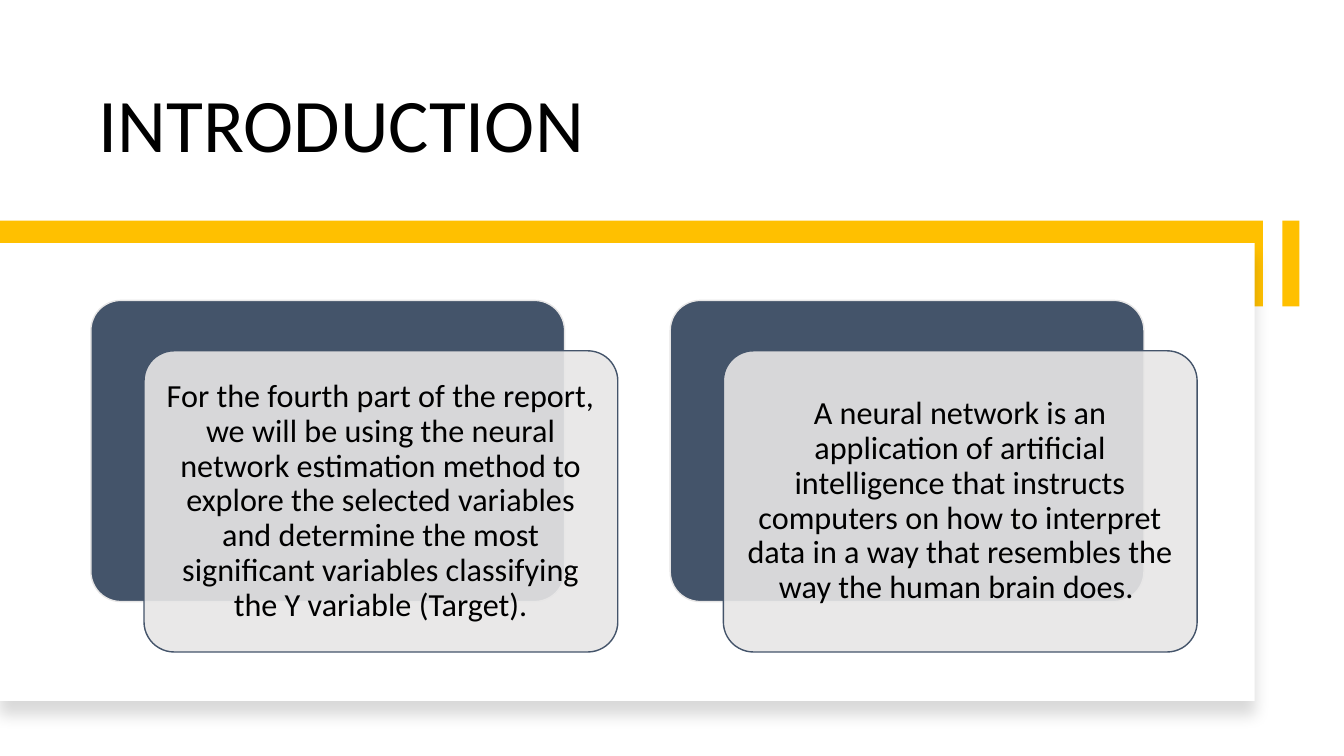
from lxml.etree import SubElement
from pptx import Presentation
from pptx.dml.color import RGBColor
from pptx.enum.shapes import MSO_SHAPE
from pptx.enum.text import MSO_ANCHOR, PP_ALIGN
from pptx.oxml.ns import qn
from pptx.util import Cm, Pt

GOLD, SLATE, SILVER, WHITE, BLACK = "FFC000", "44546A", "E7E6E6", "FFFFFF", "000000"
CARD_TEXTS = [
    "For the fourth part of the report, we will be using the neural network "
    "estimation method to explore the selected variables and determine the most "
    "significant variables classifying the Y variable (Target).",
    "A neural network is an application of artificial intelligence that instructs "
    "computers on how to interpret data in a way that resembles the way the human "
    "brain does. ",
]
CARD_LEFT, CARD_TOP, CARD_WIDTH, CARD_HEIGHT = 2.29, 7.57, 11.94, 7.59
CARD_PITCH = 14.6
FRONT_SHIFT_X, FRONT_SHIFT_Y = 1.34, 1.27


def color(hex_code):
    return RGBColor.from_string(hex_code)


class SlideBuilder:
    """Draws elements on one page; all lengths are in centimetres."""

    font_name = "Calibri"

    def __init__(self, page):
        self.page = page

    def set_text(self, shape, text, size, anchor, alignment):
        frame = shape.text_frame
        frame.word_wrap = True
        frame.vertical_anchor = anchor
        frame.text = text
        para = frame.paragraphs[0]
        para.alignment = alignment
        para.line_spacing = 0.9
        for span in para.runs:
            span.font.name = self.font_name
            span.font.size = Pt(size)
            span.font.color.rgb = color(BLACK)

    def title(self, text, left, top, width, height):
        box = self.page.shapes.add_textbox(Cm(left), Cm(top), Cm(width), Cm(height))
        self.set_text(box, text, 54, MSO_ANCHOR.BOTTOM, PP_ALIGN.LEFT)

    def shape(self, kind, left, top, width, height, fill, line=None):
        shape = self.page.shapes.add_shape(kind, Cm(left), Cm(top), Cm(width), Cm(height))
        shape.shadow.inherit = False
        shape.fill.solid()
        shape.fill.fore_color.rgb = color(fill)
        if line:
            shape.line.color.rgb = color(line)
            shape.line.width = Pt(1)
        else:
            shape.line.fill.background()
        return shape

    def bar(self, left, top, width, height, fill):
        return self.shape(MSO_SHAPE.RECTANGLE, left, top, width, height, fill)

    def panel(self, left, top, width, height):
        """Add a white rectangle with a soft shadow below it."""
        panel = self.bar(left, top, width, height, WHITE)
        effects = panel.element.spPr.find(qn("a:effectLst"))
        shadow = SubElement(effects, qn("a:outerShdw"), blurRad=str(Pt(11)),
                            dist=str(Pt(10)), dir="5400000", algn="t", rotWithShape="0")
        tint = SubElement(shadow, qn("a:srgbClr"), val=BLACK)
        SubElement(tint, qn("a:alpha"), val="15000")

    def rounded(self, left, top, fill, line):
        card = self.shape(MSO_SHAPE.ROUNDED_RECTANGLE, left, top,
                          CARD_WIDTH, CARD_HEIGHT, fill, line)
        card.adjustments[0] = 0.1
        return card

    def card(self, left, top, text):
        """Add a dark card with a translucent text card shifted over it."""
        self.rounded(left, top, SLATE, SILVER)
        front = self.rounded(left + FRONT_SHIFT_X, top + FRONT_SHIFT_Y, SILVER, SLATE)
        tint = front.element.spPr.find(qn("a:solidFill")).find(qn("a:srgbClr"))
        SubElement(tint, qn("a:alpha"), val="90000")
        frame = front.text_frame
        frame.margin_left = frame.margin_right = Cm(0.24)
        frame.margin_top = frame.margin_bottom = Cm(0.24)
        self.set_text(front, text, 23, MSO_ANCHOR.MIDDLE, PP_ALIGN.CENTER)


def main():
    deck = Presentation()
    deck.slide_width, deck.slide_height = Cm(33.87), Cm(19.05)
    builder = SlideBuilder(deck.slides.add_slide(deck.slide_layouts[6]))

    builder.title("INTRODUCTION", 2.24, 1.07, 25.65, 3.3)
    builder.bar(32.32, 5.56, 0.43, 2.16, GOLD)
    builder.bar(0, 5.56, 31.83, 2.16, GOLD)
    builder.panel(0, 6.13, 31.62, 11.53)
    for index, text in enumerate(CARD_TEXTS):
        builder.card(CARD_LEFT + index * CARD_PITCH, CARD_TOP, text)

    deck.save("out.pptx")


if __name__ == "__main__":
    main()
